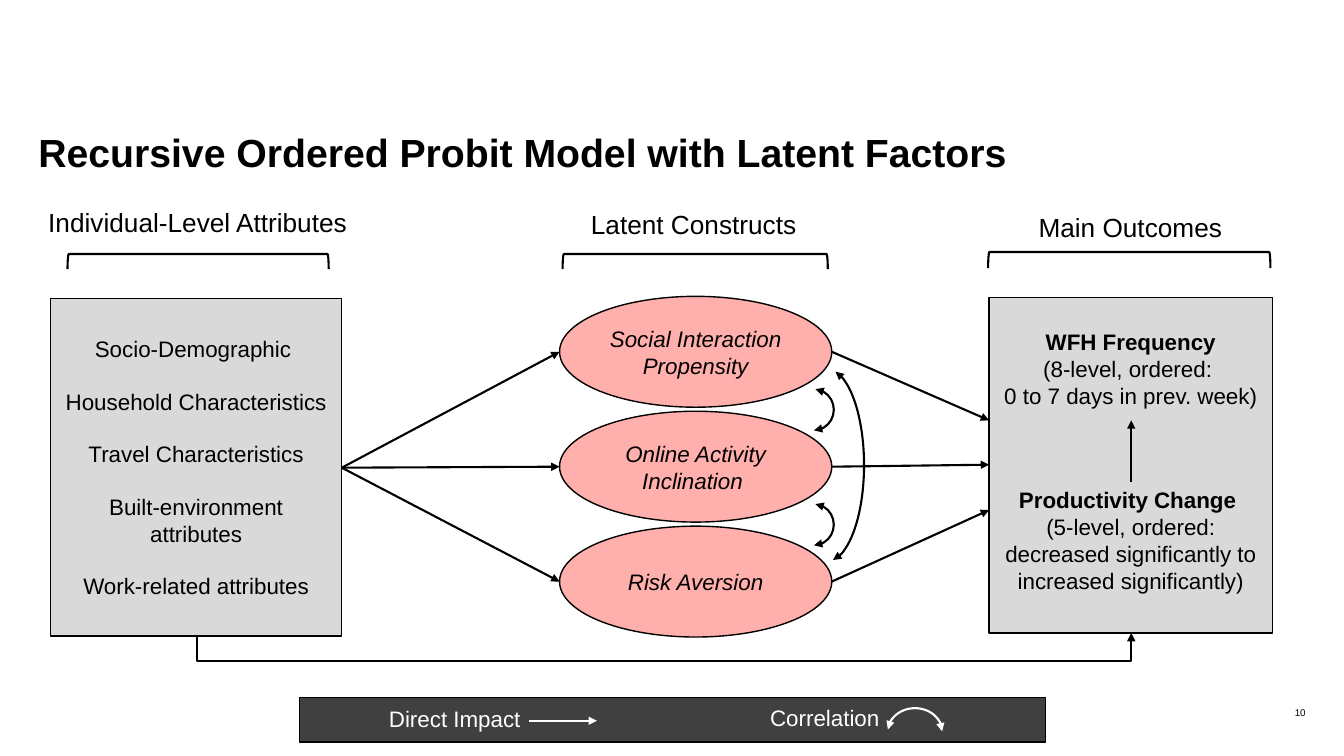
from lxml import etree
from pptx import Presentation
from pptx.dml.color import RGBColor
from pptx.enum.shapes import MSO_CONNECTOR, MSO_SHAPE
from pptx.enum.text import MSO_ANCHOR, MSO_AUTO_SIZE, PP_ALIGN
from pptx.oxml.ns import qn
from pptx.util import Inches, Pt

RECT, OVAL = MSO_SHAPE.RECTANGLE, MSO_SHAPE.OVAL
ARC, BRACKET = MSO_SHAPE.ARC, MSO_SHAPE.LEFT_BRACKET
STRAIGHT, ELBOW = MSO_CONNECTOR.STRAIGHT, MSO_CONNECTOR.ELBOW
TOP, MIDDLE, BOTTOM = MSO_ANCHOR.TOP, MSO_ANCHOR.MIDDLE, MSO_ANCHOR.BOTTOM
LEFT, CENTER, RIGHT = PP_ALIGN.LEFT, PP_ALIGN.CENTER, PP_ALIGN.RIGHT

COLORS = {"ink": "000000", "panel": "D9D9D9", "latent": "FFAFAC",
          "legend": "404040", "light": "FFFFFF"}
FONT = "Arial"
BODY = 16
HEADING = 18.7
LINE = 18.4  # height of one body line in points


def color(name):
    return RGBColor.from_string(COLORS[name])


class Diagram:
    """Holds the page and the shared style."""

    def __init__(self, page):
        self.page = page
        self.shapes = page.shapes

    def set_text(self, shape, lines, size=BODY, ink="ink", anchor=TOP, align=CENTER,
                 bold=(), italic=False, gaps=None, margin=None):
        """Fill a shape with lines; bold and gaps refer to line numbers."""
        frame = shape.text_frame
        frame.text = "\n".join(lines)
        frame.word_wrap = True
        frame.auto_size = MSO_AUTO_SIZE.NONE
        frame.vertical_anchor = anchor
        if margin is not None:
            frame.margin_left = frame.margin_right = Inches(margin)
            frame.margin_top = frame.margin_bottom = Inches(margin)
        for number, para in enumerate(frame.paragraphs):
            para.alignment = align
            if gaps and number in gaps:
                para.space_before = Pt(gaps[number])
            for span in para.runs:
                span.font.name = FONT
                span.font.size = Pt(size)
                span.font.bold = number in bold
                span.font.italic = italic
                span.font.color.rgb = color(ink)

    def title(self, text, left, top, width, height):
        title = self.shapes.title
        title.left, title.top = Inches(left), Inches(top)
        title.width, title.height = Inches(width), Inches(height)
        self.set_text(title, [text], size=28, align=LEFT, bold=(0,), margin=0)

    def label(self, text, left, top, width, height, **style):
        box = self.shapes.add_textbox(*map(Inches, (left, top, width, height)))
        self.set_text(box, [text], **style)

    def shape(self, kind, left, top, width, height, fill=None, line="ink", weight=1.0):
        shape = self.shapes.add_shape(kind, *map(Inches, (left, top, width, height)))
        shape.shadow.inherit = False
        if fill:
            shape.fill.solid()
            shape.fill.fore_color.rgb = color(fill)
        else:
            shape.fill.background()
        if line:
            shape.line.color.rgb = color(line)
            shape.line.width = Pt(weight)
        else:
            shape.line.fill.background()
        return shape

    def bracket(self, left, top, width, height):
        """A left bracket turned to open downwards, given by its visible frame."""
        shape = self.shape(BRACKET, left + (width - height) / 2,
                           top + (height - width) / 2, height, width, weight=1.5)
        shape.rotation = 90

    def arc(self, left, top, width, height, start=275, end=89, rotation=0, **style):
        """A curve with an arrowhead at both ends; angles in degrees."""
        arc = self.shape(ARC, left, top, width, height, weight=1.5, **style)
        arc.adjustments[0], arc.adjustments[1] = start * 0.6, end * 0.6
        arc.rotation = rotation
        self.arrowheads(arc, "headEnd", "tailEnd")

    def arrow(self, start, end, ink="ink", kind=STRAIGHT):
        arrow = self.shapes.add_connector(kind, *map(Inches, (*start, *end)))
        arrow.line.color.rgb = color(ink)
        arrow.line.width = Pt(1.5)
        self.arrowheads(arrow, "tailEnd")
        etree.SubElement(arrow.element.spPr, qn("a:effectLst"))
        return arrow

    def elbow(self, start, end, drop):
        """A line that falls by drop, runs across and rises to its end."""
        rise, run = start[1] - end[1], end[0] - start[0]
        x, y = (start[0] + end[0]) / 2, (start[1] + end[1]) / 2
        elbow = self.arrow((x + rise / 2, y + run / 2), (x - rise / 2, y - run / 2), kind=ELBOW)
        properties = elbow.element.spPr
        properties.find(qn("a:xfrm")).set("rot", str(90 * 60000))
        guides = properties.find(qn("a:prstGeom")).find(qn("a:avLst"))
        bend = round(-drop / rise * 100000)
        etree.SubElement(guides, qn("a:gd"), name="adj1", fmla=f"val {bend}")

    def arrowheads(self, shape, *ends):
        outline = shape.element.spPr.find(qn("a:ln"))
        for end in ends:
            etree.SubElement(outline, qn(f"a:{end}"), type="triangle")


def main():
    deck = Presentation()
    deck.slide_width, deck.slide_height = Inches(13.33), Inches(7.5)
    diagram = Diagram(deck.slides.add_slide(deck.slide_layouts[5]))

    # Title and page number
    diagram.title("Recursive Ordered Probit Model with Latent Factors", 0.38, 1.27, 12.95, 0.54)
    diagram.label("10", 12.25, 7.01, 0.7, 0.12, size=7, anchor=BOTTOM, align=RIGHT, margin=0)

    # Column headings with brackets
    for text, place, bracket in (
        ("Individual-Level Attributes", (0.24, 2, 3.44), (0.67, 2.52, 2.59, 0.15)),
        ("Latent Constructs", (5.48, 2.02, 2.8), (5.58, 2.52, 2.63, 0.15)),
        ("Main Outcomes", (10.12, 2.05, 2.18), (9.8, 2.5, 2.8, 0.16)),
    ):
        diagram.label(text, *place, 0.42, size=HEADING)
        diagram.bracket(*bracket)

    # Individual attributes
    attributes = ["Socio-Demographic ", "Household Characteristics", "Travel Characteristics",
                  "Built-environment attributes", "Work-related attributes"]
    panel = diagram.shape(RECT, 0.5, 2.96, 2.89, 3.35, fill="panel")
    diagram.set_text(panel, attributes, anchor=MIDDLE,
                     gaps={number: LINE for number in range(1, len(attributes))})

    # Main outcomes
    outcomes = ["WFH Frequency", "(8-level, ordered: ", "0 to 7 days in prev. week)",
                "Productivity Change ",
                "(5-level, ordered: decreased significantly to increased significantly)"]
    panel = diagram.shape(RECT, 9.81, 2.95, 2.81, 3.33, fill="panel")
    diagram.set_text(panel, outcomes, bold=(0, 3), gaps={3: 3 * LINE})
    panel.text_frame.margin_top = Inches(0.31)
    diagram.arrow((11.22, 4.78), (11.22, 4.17))

    # Latent constructs, each linked to both panels
    constructs = (("Social Interaction Propensity", 4.17),
                  ("Online Activity Inclination ", 4.61),
                  ("Risk Aversion", 5.06))
    for row, (text, target) in enumerate(constructs):
        top = 2.94 + 1.14 * row
        middle = top + 0.55
        oval = diagram.shape(OVAL, 5.55, top, 2.7, 1.1, fill="latent")
        diagram.set_text(oval, [text], anchor=MIDDLE, italic=True)
        diagram.arrow((3.39, 4.64), (5.55, middle))
        diagram.arrow((8.25, middle), (9.81, target))

    # Correlations between constructs
    for top in (3.86, 5):
        diagram.arc(7.87, top, 0.4, 0.41)
    diagram.arc(7.83, 3.66, 0.74, 1.91, start=275.36, end=86.18)

    # Direct impact of attributes on outcomes
    diagram.elbow((1.95, 6.31), (11.22, 6.28), 0.25)

    # Legend
    diagram.shape(RECT, 2.97, 6.92, 7.4, 0.44, fill="legend")
    for text, left, top in (("Direct Impact", 3.25, 6.95), ("Correlation", 6.92, 6.94)):
        entry = diagram.shape(RECT, left, top, 2.52, 0.37, fill="legend", line=None)
        diagram.set_text(entry, [text], ink="light")
    diagram.arrow((5.25, 7.15), (5.92, 7.15), ink="light")
    diagram.arc(8.84, 6.99, 0.47, 0.54, rotation=270, fill="legend", line="light")

    deck.save("out.pptx")


if __name__ == "__main__":
    main()
